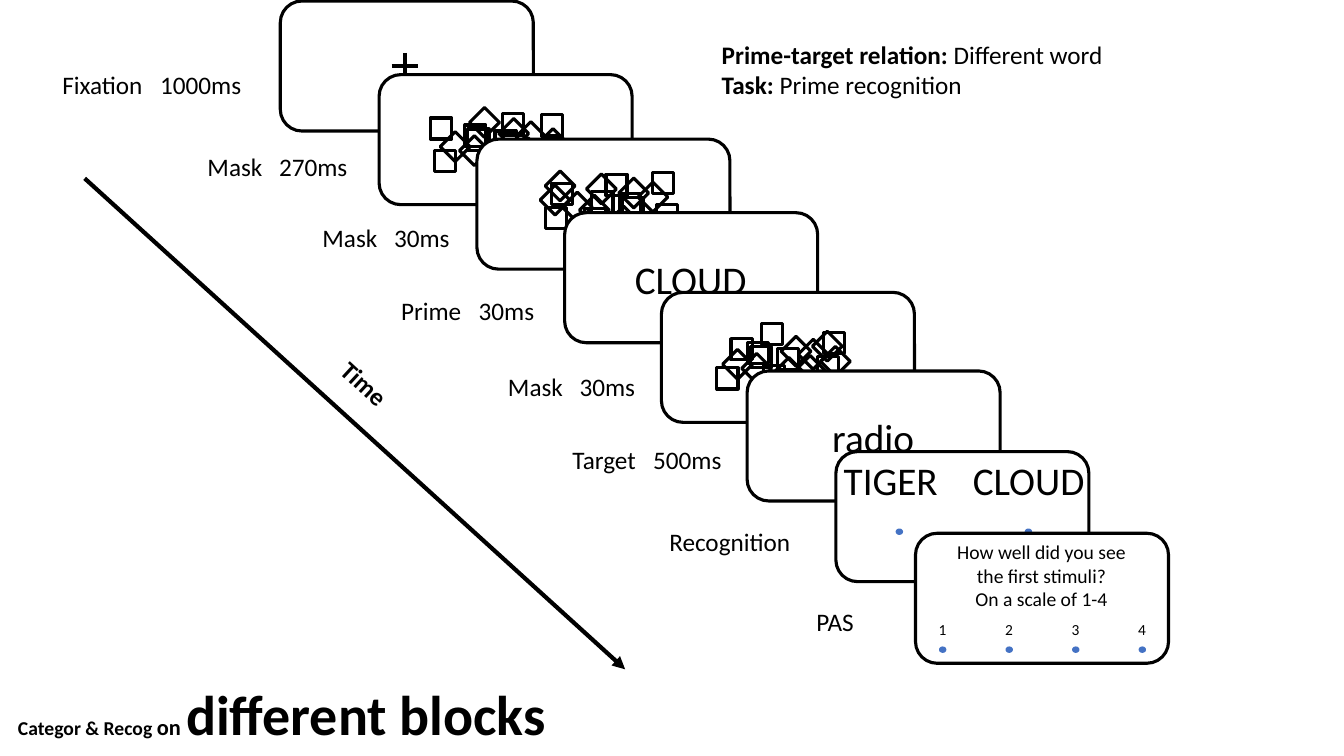
from lxml import etree
from pptx import Presentation
from pptx.dml.color import RGBColor
from pptx.enum.shapes import MSO_CONNECTOR, MSO_SHAPE
from pptx.enum.text import PP_ALIGN
from pptx.oxml.ns import qn
from pptx.util import Inches, Pt

BLACK, WHITE, BLUE = "000000", "FFFFFF", "4472C4"
FRAME_W, FRAME_H = 2.51, 1.29
TILE = 0.21
MIRROR_X, MIRROR_Y = FRAME_W - TILE - 0.01, FRAME_H - TILE

LABELS = [
    ("Fixation\t1000ms", 0.52, 0.64, 0.97),
    ("Mask\t270ms", 1.96, 1.45, 0.71),
    ("Mask\t30ms", 3.1, 2.16, 0.71),
    ("Prime\t30ms", 3.88, 2.88, 0.77),
    ("Mask\t30ms", 4.94, 3.63, 0.71),
    ("Target\t500ms", 5.58, 4.36, 0.8),
    ("Recognition", 6.54, 5.17, None),
    ("PAS", 8, 5.97, None),
]
SQUARES = [(0.88, 0.54), (1.15, 0.56), (1.55, 0.64), (1.61, 0.4), (0.55, 0.75), (0.85, 0.5)]
DIAMONDS = [(1.4, 0.51), (0.65, 0.61), (1.16, 0.69), (1.62, 0.58), (0.84, 0.65), (1.23, 0.48)]
FORWARD_SQUARES = [(0.51, 0.43), (1.22, 0.39)]
FORWARD_DIAMOND = (0.94, 0.37)
LOW_SQUARE, LOW_DIAMOND = (1.01, 0.73), (1.37, 0.67)


def color(hex_code):
    """Turn a hex string into a colour."""
    return RGBColor.from_string(hex_code)


def add_box(shapes, kind, x, y, w, h, fill=None, line=BLACK, weight=2.25, rotation=0):
    """Add a preset shape with its fill and outline."""
    box = shapes.add_shape(kind, Inches(x), Inches(y), Inches(w), Inches(h))
    box.shadow.inherit = False
    box.rotation = rotation
    if fill:
        box.fill.solid()
        box.fill.fore_color.rgb = color(fill)
    else:
        box.fill.background()
    box.line.color.rgb = color(line)
    box.line.width = Pt(weight)
    return box


def add_line(shapes, start, end, arrow=False):
    """Add a thick black line, optionally ending in an arrowhead."""
    points = [Inches(value) for value in (*start, *end)]
    line = shapes.add_connector(MSO_CONNECTOR.STRAIGHT, *points)
    line.line.color.rgb = color(BLACK)
    line.line.width = Pt(3)
    if arrow:
        etree.SubElement(line.line._get_or_add_ln(), qn("a:tailEnd"), type="triangle")
    etree.SubElement(line._element.spPr, qn("a:effectLst"))


def set_tabs(paragraph, stops):
    """Give a paragraph left tab stops, in inches."""
    tabs = etree.SubElement(paragraph._p.get_or_add_pPr(), qn("a:tabLst"))
    for stop in stops:
        etree.SubElement(tabs, qn("a:tab"), pos=str(Inches(stop)), algn="l")


def add_text(shapes, paragraphs, x, y, w, h, align=PP_ALIGN.LEFT, tabs=(), rotation=0):
    """Add a text box from paragraphs of (text, size, bold) runs."""
    box = shapes.add_textbox(Inches(x), Inches(y), Inches(w), Inches(h))
    box.rotation = rotation
    frame = box.text_frame
    frame.word_wrap = True
    for index, runs in enumerate(paragraphs):
        paragraph = frame.add_paragraph() if index else frame.paragraphs[0]
        paragraph.alignment = align
        if tabs:
            set_tabs(paragraph, tabs)
        for text, size, bold in runs:
            run = paragraph.add_run()
            run.text = text
            run.font.name = "Calibri"
            run.font.size = Pt(size)
            run.font.bold = bold
            run.font.color.rgb = color(BLACK)


def add_frame(slide, x, y):
    """Add one rounded screen and return the shapes of its group."""
    shapes = slide.shapes.add_group_shape().shapes
    add_box(shapes, MSO_SHAPE.ROUNDED_RECTANGLE, x, y, FRAME_W, FRAME_H, WHITE)
    return shapes


def add_fixation(slide, x, y, arm=0.13):
    """Add a screen with a centred cross."""
    shapes = add_frame(slide, x, y)
    cx, cy = x + FRAME_W / 2 - 0.02, y + FRAME_H / 2
    add_line(shapes, (cx, cy - arm), (cx, cy + arm))
    add_line(shapes, (cx - arm, cy), (cx + arm, cy))


def add_mask(slide, x, y, squares, diamonds, turned=False):
    """Add a screen of scattered tiles, optionally turned half round."""
    shapes = add_frame(slide, x, y)
    for spots, angle in ((SQUARES + squares, 0), (DIAMONDS + diamonds, 45)):
        for dx, dy in spots:
            if turned:
                dx, dy = MIRROR_X - dx, MIRROR_Y - dy
            add_box(shapes, MSO_SHAPE.RECTANGLE, x + dx, y + dy, TILE, TILE, rotation=angle)


def add_word(slide, x, y, word):
    """Add a screen with one large centred word."""
    shapes = add_frame(slide, x, y)
    add_text(shapes, [[(word, 28, False)]], x + 0.17, y + 0.37, 2.16, 0.57, PP_ALIGN.CENTER)


def add_dots(shapes, x, y, count, step):
    """Add a row of evenly spaced answer dots."""
    for index in range(count):
        add_box(shapes, MSO_SHAPE.OVAL, x + index * step, y, 0.06, 0.05, BLUE, BLUE, 1)


def add_recognition(slide, x, y):
    """Add the screen offering two words."""
    shapes = add_frame(slide, x, y)
    add_text(shapes, [[("TIGER\tCLOUD", 28, False)]], x - 0.02, y, 2.73, 0.57, tabs=[1.28])
    add_dots(shapes, x + 0.6, y + 0.77, 2, 1.28)


def add_rating(slide, x, y, step=0.66):
    """Add the screen with the four-point awareness scale."""
    shapes = add_frame(slide, x, y)
    prompt = ["How well did you see the first stimuli?", "On a scale of 1-4"]
    add_text(shapes, [[(text, 14, False)] for text in prompt],
             x + 0.17, y + 0.02, 2.16, 0.81, PP_ALIGN.CENTER)
    add_text(shapes, [[("1\t2\t3\t4", 11, False)]], x + 0.13, y + 0.81, 2.38, 0.29,
             tabs=[step * stop for stop in (1, 2, 3)])
    add_dots(shapes, x + 0.24, y + 1.13, 4, step)


def main():
    """Build the trial timeline slide."""
    deck = Presentation()
    deck.slide_width, deck.slide_height = Inches(13.33), Inches(7.5)
    slide = deck.slides.add_slide(deck.slide_layouts[6])
    shapes = slide.shapes

    add_text(shapes, [
        [("Prime-target relation: ", 18, True), ("Different word", 18, False)],
        [("Task: ", 18, True), ("Prime recognition", 18, False)],
    ], 7.06, 0.34, 4.95, 0.71)
    add_line(shapes, (0.84, 1.77), (6.2, 6.64), arrow=True)
    add_text(shapes, [[("Time", 18, True)]], 3.08, 3.93, 1.72, 0.53, rotation=42.8)
    for text, x, y, tab in LABELS:
        add_text(shapes, [[(text, 18, False)]], x, y, 2.2, 0.4, tabs=[tab] if tab else ())

    add_fixation(slide, 2.78, 0.01)
    add_mask(slide, 3.76, 0.74, FORWARD_SQUARES, [FORWARD_DIAMOND, LOW_DIAMOND])
    add_mask(slide, 4.73, 1.38, FORWARD_SQUARES + [LOW_SQUARE],
             [FORWARD_DIAMOND, (1.57, 0.72)], turned=True)
    add_word(slide, 5.6, 2.11, "CLOUD")
    add_mask(slide, 6.56, 2.9, [(0.69, 0.46), (0.99, 0.31), LOW_SQUARE],
             [(1.54, 0.43), LOW_DIAMOND])
    add_word(slide, 7.41, 3.68, "radio")
    add_recognition(slide, 8.29, 4.48)
    add_rating(slide, 9.08, 5.29)

    add_text(shapes, [[("Categor & Recog ", 14, True), ("on ", 16, True),
                       ("different blocks", 40, True)]], 0.08, 6.69, 5.79, 0.77)
    deck.save("out.pptx")


main()
